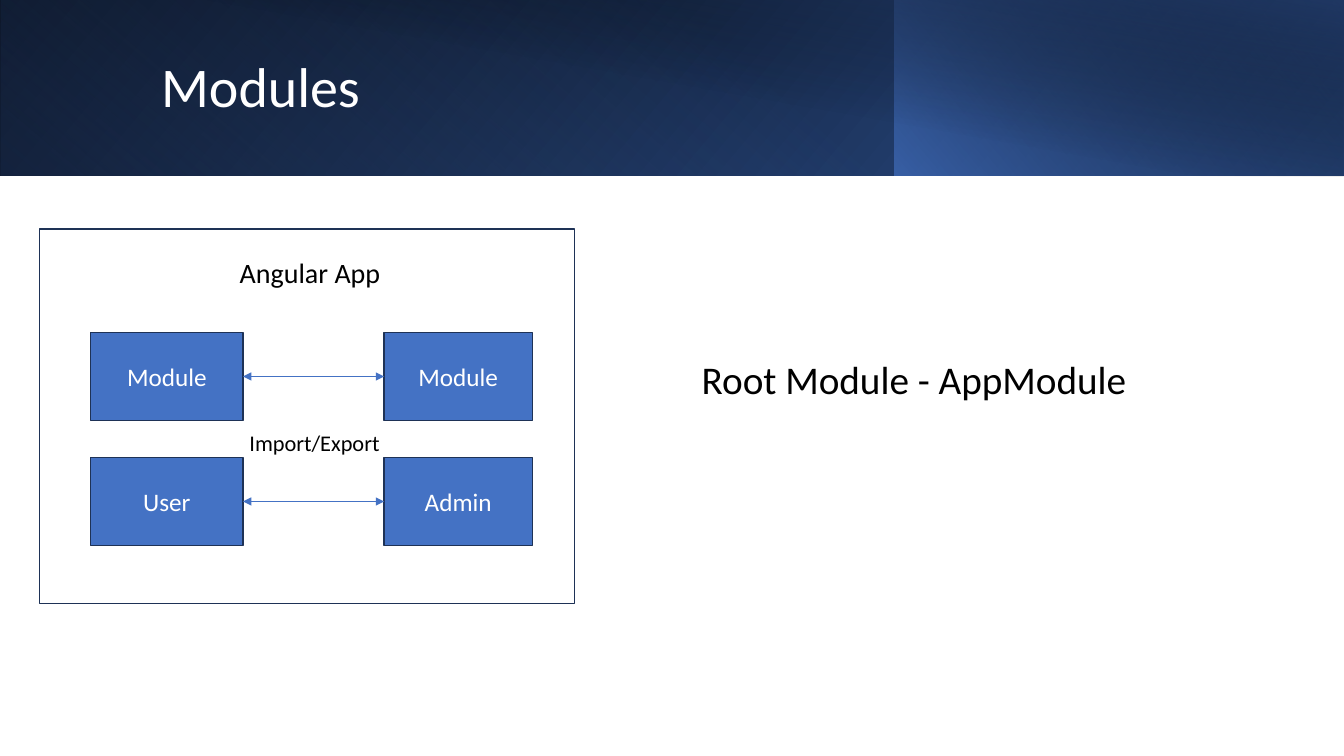
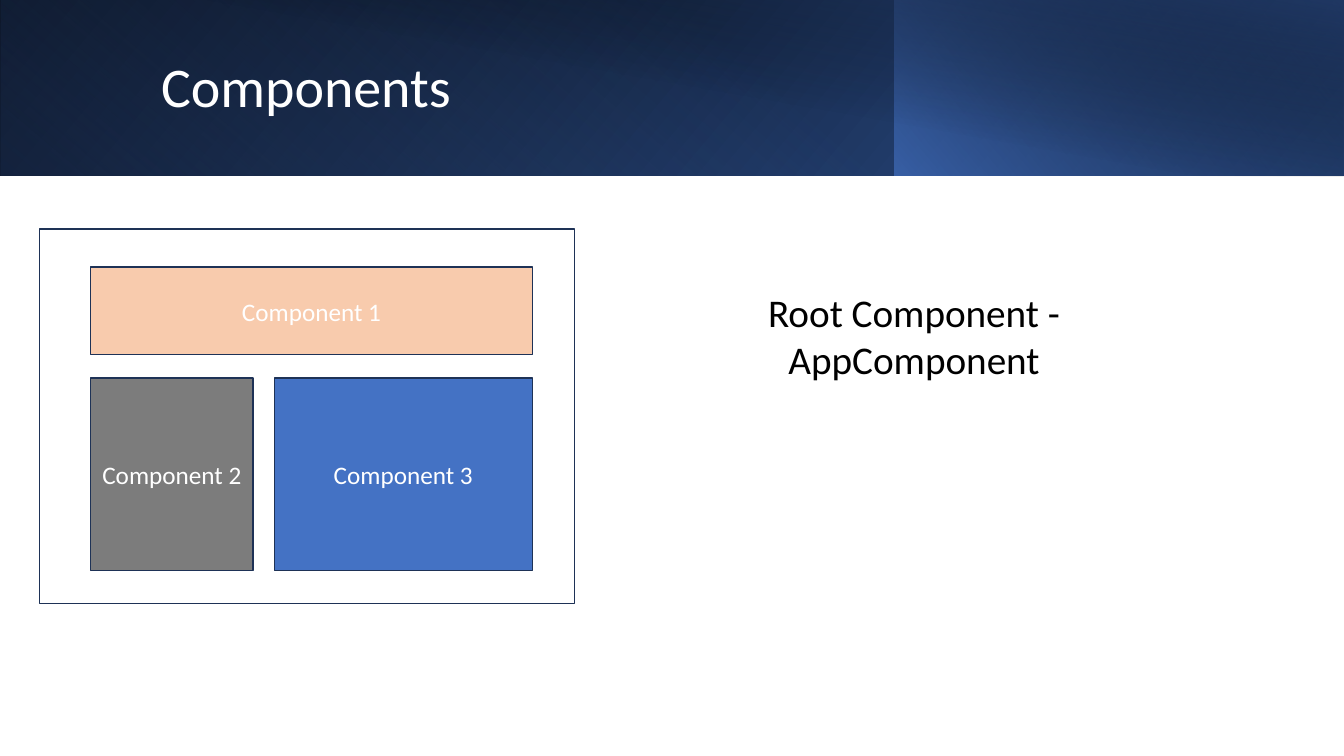
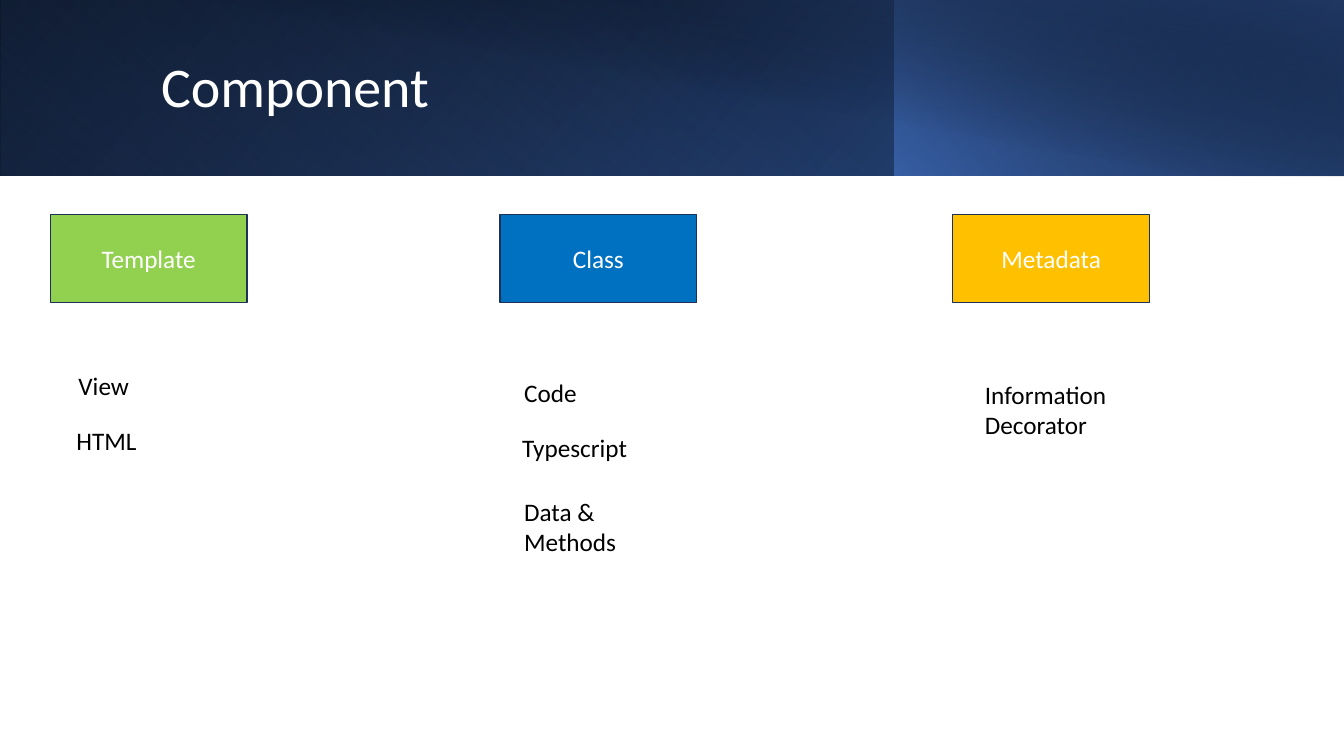
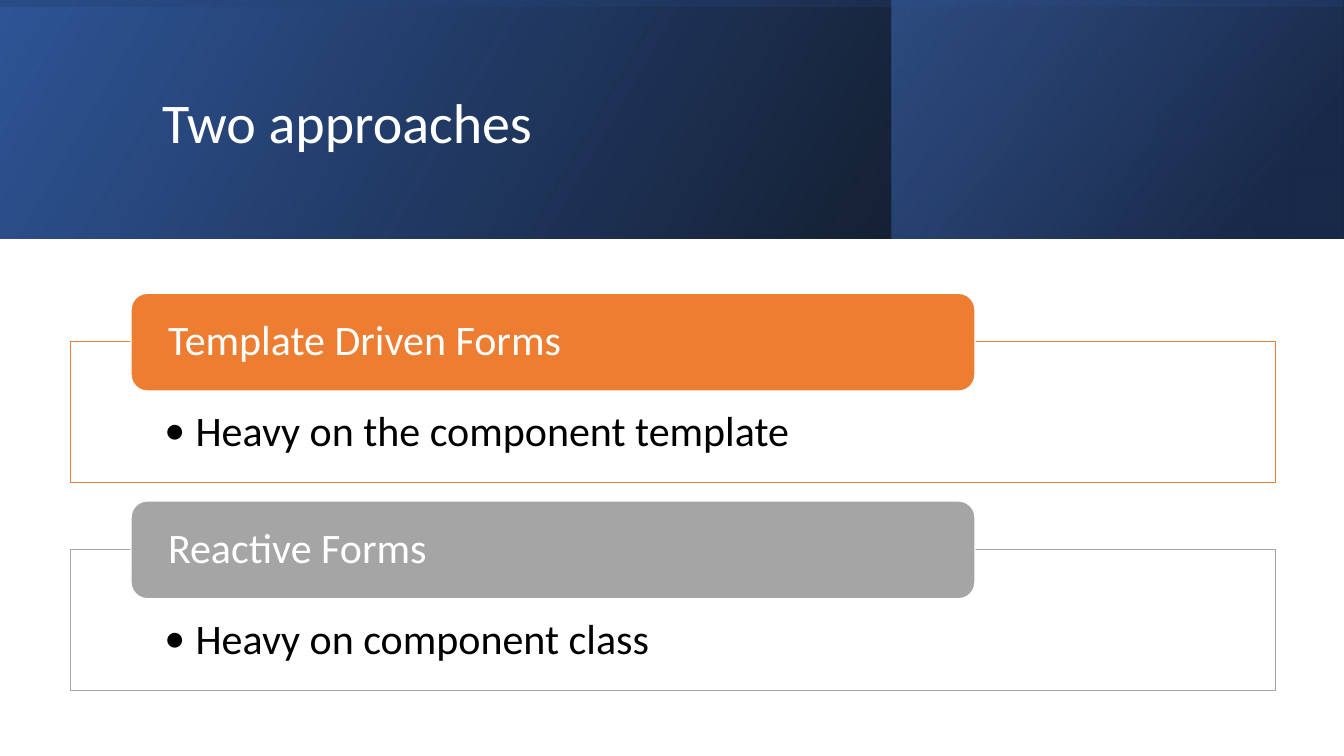
from dataclasses import dataclass
from typing import NamedTuple

from lxml.etree import SubElement
from pptx import Presentation
from pptx.dml.color import RGBColor
from pptx.enum.shapes import MSO_CONNECTOR as Connector, MSO_SHAPE as Shape
from pptx.enum.text import MSO_ANCHOR as Anchor, PP_ALIGN as Align
from pptx.oxml import parse_xml
from pptx.oxml.ns import nsdecls, qn
from pptx.util import Inches, Pt


class Box(NamedTuple):
    """A rectangle in inches."""

    left: float
    top: float
    width: float
    height: float

    def inner(self, left, top, width, height):
        """Return a box whose corner is offset from this one."""
        return Box(self.left + left, self.top + top, width, height)

    def lengths(self):
        """Return the four measures as lengths."""
        return [Inches(value) for value in self]


class Layer(NamedTuple):
    """One gradient sheet of a title band."""

    box: Box
    stops: list
    angle: int
    rotation: int = 0
    flipped: bool = True


@dataclass(frozen=True)
class Theme:
    """Colours, font and type sizes of the deck."""

    font: str = "Calibri"
    white: str = "FFFFFF"
    black: str = "000000"
    outline: str = "1E3256"
    blue: str = "4472C4"
    mid_blue: str = "2F5597"
    deep_blue: str = "203864"
    peach: str = "F8CBAD"
    gray: str = "7C7C7C"
    green: str = "92D050"
    class_blue: str = "0070C0"
    gold: str = "FFC000"
    orange: str = "ED7D31"
    silver: str = "A5A5A5"
    title: int = 40
    form: int = 30
    statement: int = 28
    heading: int = 20
    body: int = 18
    caption: int = 16


THEME = Theme()
WIDTH, HEIGHT = 13.33, 7.5
FRAME = Box(0.39, 2.27, 5.31, 3.72)

BAND = [
    Layer(Box(0, 0, WIDTH, 1.74), [(0, THEME.black, 100), (100, THEME.mid_blue, 100)], 140),
    Layer(Box(0, 0, 8.88, 1.74), [(20, THEME.blue, 0), (100, THEME.deep_blue, 55)], 230, 180),
    Layer(Box(8.87, 0, 4.46, 1.74), [(0, THEME.blue, 66), (100, THEME.black, 30)], 220),
    Layer(Box(0.5, 0, 12.83, 1.75), [(50, THEME.black, 0), (99, THEME.deep_blue, 52)], 280,
          flipped=False),
]
TALL_BAND = [
    Layer(Box(0, 0, WIDTH, 2.37), [(0, THEME.black, 96), (100, THEME.mid_blue, 100)], 330),
    Layer(Box(8.84, 0, 4.48, 2.37), [(19, THEME.deep_blue, 68), (100, THEME.blue, 48)], 320),
    Layer(Box(5.48, -5.48, 2.37, WIDTH), [(23, THEME.mid_blue, 16), (99, THEME.black, 45)], 350, 270),
]


def write(shape, text, size, color, align=Align.LEFT, anchor=Anchor.TOP, spacing=None):
    """Put one formatted paragraph into a shape and return it."""
    frame = shape.text_frame
    frame.text = text
    frame.word_wrap = True
    frame.vertical_anchor = anchor
    paragraph = frame.paragraphs[0]
    paragraph.alignment = align
    paragraph.line_spacing = spacing
    font = paragraph.runs[0].font
    font.name, font.size = THEME.font, Pt(size)
    font.color.rgb = RGBColor.from_string(color)
    return paragraph


def add_text(slide, box, text, size, color=THEME.black, **options):
    """Add a wrapped text box."""
    write(slide.shapes.add_textbox(*box.lengths()), text, size, color, **options)


def add_block(slide, box, fill=None, line=None, kind=Shape.RECTANGLE):
    """Add a flat shape with an optional fill and outline."""
    shape = slide.shapes.add_shape(kind, *box.lengths())
    shape.shadow.inherit = False
    if fill:
        shape.fill.solid()
        shape.fill.fore_color.rgb = RGBColor.from_string(fill)
    else:
        shape.fill.background()
    if line:
        shape.line.color.rgb = RGBColor.from_string(line)
        shape.line.width = Pt(1)
    else:
        shape.line.fill.background()
    return shape


def add_label(slide, box, text, fill):
    """Add an outlined block with a centred white label."""
    shape = add_block(slide, box, fill, THEME.outline)
    write(shape, text, THEME.body, THEME.white, Align.CENTER, Anchor.MIDDLE)
    return shape


def add_layer(slide, layer):
    """Add a sheet with a translucent gradient."""
    shape = add_block(slide, layer.box)
    shape.rotation = layer.rotation
    properties = shape._element.spPr
    if layer.flipped:
        properties.find(qn("a:xfrm")).set("flipH", "1")
    stops = "".join(
        f'<a:gs pos="{position * 1000}"><a:srgbClr val="{color}">'
        f'<a:alpha val="{alpha * 1000}"/></a:srgbClr></a:gs>'
        for position, color, alpha in layer.stops)
    gradient = parse_xml(
        f'<a:gradFill {nsdecls("a")}><a:gsLst>{stops}</a:gsLst>'
        f'<a:lin ang="{layer.angle * 60000}" scaled="0"/></a:gradFill>')
    properties.replace(properties.find(qn("a:noFill")), gradient)


def add_double_arrow(slide, left_block, right_block):
    """Join two neighbouring blocks with a two-headed arrow."""
    arrow = slide.shapes.add_connector(Connector.STRAIGHT, 0, 0, 0, 0)
    arrow.begin_connect(left_block, 3)
    arrow.end_connect(right_block, 1)
    arrow.line.color.rgb = RGBColor.from_string(THEME.blue)
    arrow.line.width = Pt(0.5)
    properties = arrow._element.spPr
    for end in ("a:headEnd", "a:tailEnd"):
        SubElement(properties.find(qn("a:ln")), qn(end)).set("type", "triangle")
    SubElement(properties, qn("a:effectLst"))


def start_slide(presentation, title, layers=BAND, title_box=Box(1.5, 0.32, 10.82, 1.13)):
    """Add a slide with its band and title."""
    slide = presentation.slides.add_slide(presentation.slide_layouts[6])
    for layer in layers:
        add_layer(slide, layer)
    add_text(slide, title_box, title, THEME.title, THEME.white, anchor=Anchor.MIDDLE, spacing=0.9)
    return slide


def add_module_map(slide, box):
    """Draw the framed application with pairs of linked modules."""
    add_block(slide, box, line=THEME.outline)
    add_text(slide, box.inner(0.46, 0.22, 4.45, 0.44), "Angular App", THEME.heading,
             align=Align.CENTER)
    for top, names in ((1.03, ("Module", "Module")), (2.27, ("User", "Admin"))):
        pair = [add_label(slide, box.inner(left, top, width, 0.87), name, THEME.blue)
                for name, left, width in zip(names, (0.51, 3.42), (1.51, 1.47))]
        add_double_arrow(slide, *pair)
    add_text(slide, box.inner(0.51, 1.94, 4.44, 0.37), "Import/Export", THEME.caption,
             align=Align.CENTER)


def add_component_map(slide, box):
    """Draw the framed page divided into three components."""
    add_block(slide, box, line=THEME.outline)
    parts = [
        ((0.51, 0.38, 4.38, 0.87), THEME.peach),
        ((0.51, 1.48, 1.61, 1.91), THEME.gray),
        ((2.33, 1.48, 2.56, 1.91), THEME.blue),
    ]
    for number, (place, fill) in enumerate(parts, 1):
        add_label(slide, box.inner(*place), f"Component {number}", fill)


def add_topic(slide, box, name, fill, notes):
    """Draw a topic block and the notes below it."""
    add_label(slide, box, name, fill)
    for text, left, top, height in notes:
        add_text(slide, box.inner(left, top, 1.66, height), text, THEME.body)


def add_form_card(slide, box, heading, detail, color):
    """Draw an outlined card with a bullet and an overlapping header."""
    card = add_block(slide, box, THEME.white, color)
    paragraph = write(card, detail, THEME.form, THEME.black, spacing=0.9)
    frame = card.text_frame
    frame.margin_left = frame.margin_right = Inches(0.93)
    frame.margin_top, frame.margin_bottom = Inches(0.68), Inches(0.23)
    properties = paragraph._p.get_or_add_pPr()
    properties.set("marL", str(Inches(0.31)))
    properties.set("indent", str(-Inches(0.31)))
    SubElement(properties, qn("a:buFont")).set("typeface", THEME.font)
    SubElement(properties, qn("a:buChar")).set("char", "•")
    header = add_block(slide, box.inner(0.6, -0.48, 8.37, 0.97), color, THEME.white,
                       Shape.ROUNDED_RECTANGLE)
    write(header, heading, THEME.form, THEME.white, anchor=Anchor.MIDDLE, spacing=0.9)
    header.text_frame.margin_left = header.text_frame.margin_right = Inches(0.32)


def build_modules(presentation):
    """Build the modules slide."""
    slide = start_slide(presentation, "Modules")
    add_module_map(slide, FRAME)
    add_text(slide, Box(6.84, 3.48, 4.45, 0.57), "Root Module - AppModule", THEME.statement,
             align=Align.CENTER)


def build_components(presentation):
    """Build the components slide."""
    slide = start_slide(presentation, "Components")
    add_component_map(slide, FRAME)
    add_text(slide, Box(6.84, 2.81, 4.45, 1.04), "Root Component - AppComponent",
             THEME.statement, align=Align.CENTER)


def build_component(presentation):
    """Build the slide on the parts of a component."""
    slide = start_slide(presentation, "Component")
    topics = [
        (0.5, "Template", THEME.green,
         [("View", 0.18, 1.49, 0.4), ("HTML", 0.16, 2.04, 0.4)]),
        (4.96, "Class", THEME.class_blue,
         [("Code", 0.14, 1.56, 0.4), ("Typescript", 0.12, 2.11, 0.4),
          ("Data & Methods", 0.14, 2.74, 0.71)]),
        (9.45, "Metadata", THEME.gold, [("Information Decorator", 0.22, 1.58, 0.71)]),
    ]
    for left, name, fill, notes in topics:
        add_topic(slide, Box(left, 2.13, 1.95, 0.87), name, fill, notes)


def build_approaches(presentation):
    """Build the slide on the two kinds of forms."""
    slide = start_slide(presentation, "Two approaches", TALL_BAND, Box(1.51, 0.38, 10.63, 1.72))
    cards = [
        ("Template Driven Forms", "Heavy on the component template", THEME.orange),
        ("Reactive Forms", "Heavy on component class", THEME.silver),
    ]
    for row, card in enumerate(cards):
        add_form_card(slide, Box(0.7, 3.39 + row * 2.06, 11.95, 1.4), *card)


def main():
    """Build and save the deck."""
    presentation = Presentation()
    presentation.slide_width, presentation.slide_height = Inches(WIDTH), Inches(HEIGHT)
    for build in (build_modules, build_components, build_component, build_approaches):
        build(presentation)
    presentation.save("out.pptx")


if __name__ == "__main__":
    main()
